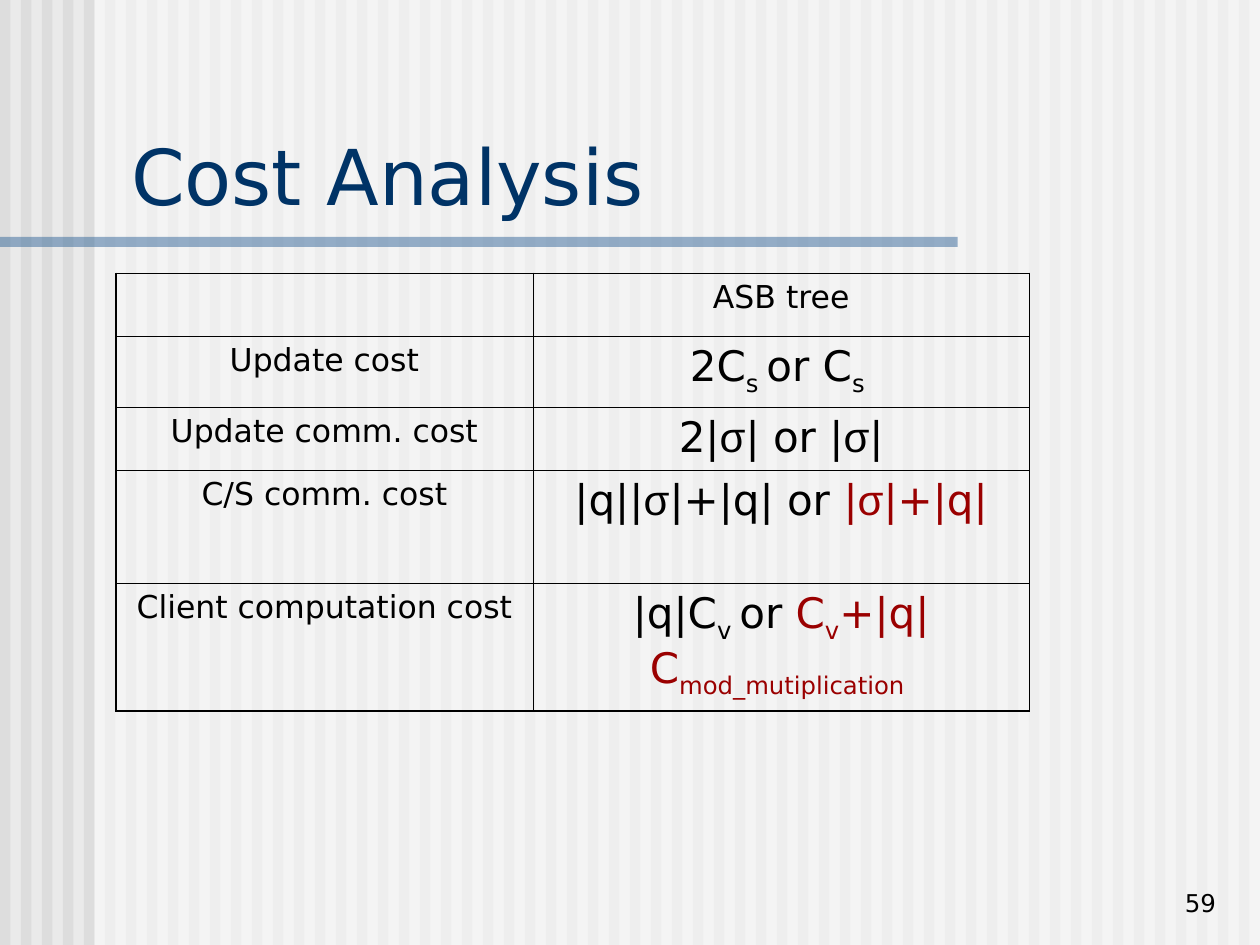
from pptx import Presentation
from pptx.dml.color import RGBColor
from pptx.enum.shapes import MSO_SHAPE
from pptx.enum.text import MSO_ANCHOR, PP_ALIGN
from pptx.oxml import parse_xml
from pptx.oxml.ns import nsdecls, qn
from pptx.util import Inches, Pt
from lxml import etree

RECTANGLE = MSO_SHAPE.RECTANGLE
BOTTOM = MSO_ANCHOR.BOTTOM
LEFT, CENTER, RIGHT = PP_ALIGN.LEFT, PP_ALIGN.CENTER, PP_ALIGN.RIGHT

FONT = "DejaVu Sans"
GREEK_FONT = "Arial"
BLACK, RED, NAVY, BLUE = "000000", "9A0000", "003366", "336699"
WHITE, PALE_GRAY, STRIPE_GRAY = "FFFFFF", "EAEAEA", "DDDDDD"

STRIPE_COUNT = 60
STRIPE_PITCH = 10 / STRIPE_COUNT
SUBSCRIPT = -25000
OUTER_LINE, INNER_LINE = 1.08, 0.45

COLUMN_WIDTHS = [3.31, 3.94]
ROW_HEIGHTS = [0.5, 0.56, 0.5, 0.9, 1.01]

# Each row: label, then formula parts as (text, colour, is subscript)
COST_ROWS = [
    ("Update cost", [
        ("2C", BLACK, False), ("s ", BLACK, True),
        ("or C", BLACK, False), ("s ", BLACK, True)]),
    ("Update comm. cost", [
        ("2|", BLACK, False), ("σ", BLACK, False), ("| or |", BLACK, False),
        ("σ", BLACK, False), ("|", BLACK, False)]),
    ("C/S comm. cost", [
        ("|q||", BLACK, False), ("σ", BLACK, False),
        ("|+|q| or ", BLACK, False), ("|", RED, False),
        ("σ", RED, False), ("|+|q|", RED, False)]),
    ("Client computation cost", [
        ("|q|C", BLACK, False), ("v ", BLACK, True), ("or ", BLACK, False),
        ("C", RED, False), ("v", RED, True), ("+|q|C", RED, False),
        ("mod_mutiplication ", RED, True)]),
]


def rgb(color):
    return RGBColor.from_string(color)


def format_font(font, size, color, name=FONT):
    font.name = name
    font.size = Pt(size)
    font.color.rgb = rgb(color)


def add_rectangle(shapes, left, top, width, height, color, opacity=100):
    shape = shapes.add_shape(RECTANGLE, Inches(left), Inches(top),
                             Inches(width), Inches(height))
    shape.shadow.inherit = False
    shape.fill.solid()
    shape.fill.fore_color.rgb = rgb(color)
    shape.line.fill.background()
    if opacity < 100:
        fill_color = shape.fill._xPr.find(qn("a:solidFill"))[0]
        alpha = etree.SubElement(fill_color, qn("a:alpha"))
        alpha.set("val", str(opacity * 1000))


def add_text(slide, text, box, size, color, alignment, side=0.1, bottom=0.05):
    text_box = slide.shapes.add_textbox(*[Inches(value) for value in box])
    text_frame = text_box.text_frame
    text_frame.word_wrap = True
    text_frame.vertical_anchor = BOTTOM
    text_frame.margin_left = text_frame.margin_right = Inches(side)
    text_frame.margin_bottom = Inches(bottom)
    text_frame.text = text
    paragraph = text_frame.paragraphs[0]
    paragraph.alignment = alignment
    format_font(paragraph.runs[0].font, size, color)


def add_background(slide):
    slide.background.fill.solid()
    slide.background.fill.fore_color.rgb = rgb(PALE_GRAY)
    stripes = slide.shapes.add_group_shape().shapes
    for index in range(STRIPE_COUNT):
        add_rectangle(stripes, index * STRIPE_PITCH, 0,
                      STRIPE_PITCH / 2, 7.5, STRIPE_GRAY)
    # Veil over the stripes, then the rule below the title
    add_rectangle(slide.shapes, 0.75, 0, 9.25, 7.5, WHITE, opacity=50)
    add_rectangle(slide.shapes, 0, 1.88, 7.6, 0.08, BLUE, opacity=50)


def set_cell_borders(cell, outer_sides):
    properties = cell._tc.get_or_add_tcPr()
    for position, side in enumerate("LRTB"):
        width = OUTER_LINE if side in outer_sides else INNER_LINE
        properties.insert(position, parse_xml(
            f'<a:ln{side} {nsdecls("a")} w="{Pt(width)}"><a:solidFill>'
            f'<a:srgbClr val="{BLACK}"/></a:solidFill></a:ln{side}>'))


def write_label(cell, text):
    cell.text_frame.text = text
    paragraph = cell.text_frame.paragraphs[0]
    paragraph.alignment = CENTER
    format_font(paragraph.runs[0].font, 18, BLACK)


def write_formula(cell, parts):
    paragraph = cell.text_frame.paragraphs[0]
    paragraph.alignment = CENTER
    for text, color, is_subscript in parts:
        run = paragraph.add_run()
        run.text = text
        format_font(run.font, 24, color, GREEK_FONT if text == "σ" else FONT)
        if is_subscript:
            run.font._element.set("baseline", str(SUBSCRIPT))


def add_cost_table(slide):
    row_count, column_count = len(ROW_HEIGHTS), len(COLUMN_WIDTHS)
    table = slide.shapes.add_table(
        row_count, column_count, Inches(0.92), Inches(2.17),
        Inches(sum(COLUMN_WIDTHS)), Inches(sum(ROW_HEIGHTS))).table
    table.first_row = False
    table.horz_banding = False
    for column, width in zip(table.columns, COLUMN_WIDTHS):
        column.width = Inches(width)
    for row, height in zip(table.rows, ROW_HEIGHTS):
        row.height = Inches(height)

    # Clear fills, thicker lines around the outside
    for row in range(row_count):
        for column in range(column_count):
            cell = table.cell(row, column)
            cell.fill.background()
            outer_sides = "L" if column == 0 else "R"
            if row == 0:
                outer_sides += "T"
            if row == row_count - 1:
                outer_sides += "B"
            set_cell_borders(cell, outer_sides)

    # Cell text
    write_label(table.cell(0, 1), "ASB tree")
    for row, (label, formula) in enumerate(COST_ROWS, start=1):
        write_label(table.cell(row, 0), label)
        write_formula(table.cell(row, 1), formula)


def main():
    presentation = Presentation()
    presentation.slide_width = Inches(10)
    presentation.slide_height = Inches(7.5)
    slide = presentation.slides.add_slide(presentation.slide_layouts[6])

    add_background(slide)
    add_text(slide, "59", (8.75, 6.83, 1, 0.5), 14, BLACK, RIGHT)
    add_text(slide, "Cost Analysis", (0.95, 0.94, 8.93, 0.83), 44, NAVY, LEFT,
             side=0.09, bottom=0.02)
    add_cost_table(slide)

    presentation.save("out.pptx")


if __name__ == "__main__":
    main()
